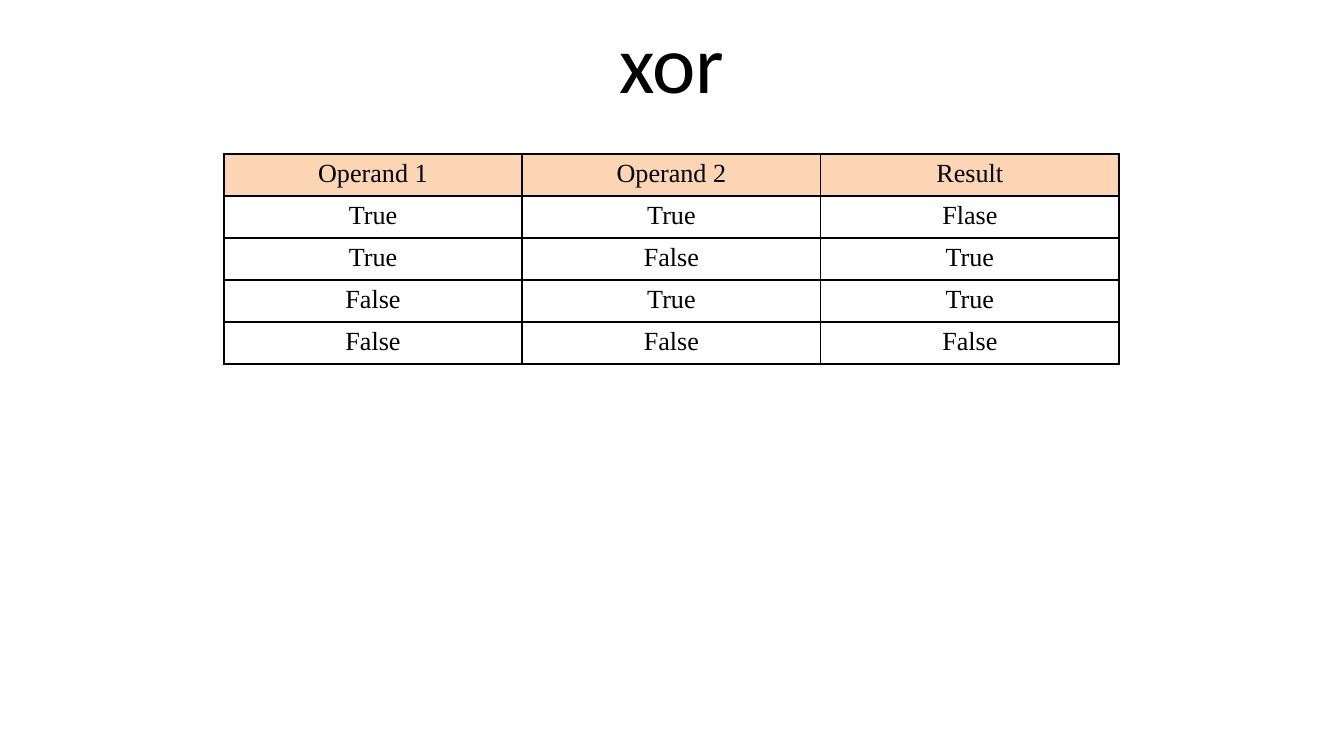
from dataclasses import dataclass

from lxml.etree import SubElement
from pptx import Presentation
from pptx.dml.color import RGBColor as RGB
from pptx.enum.text import MSO_ANCHOR as Anchor, PP_ALIGN as Align
from pptx.oxml.ns import qn
from pptx.util import Cm, Pt


@dataclass(frozen=True)
class Theme:
    ink: str = "000000"
    header: str = "FCD5B5"
    title_font: str = "Calibri"
    table_font: str = "Times New Roman"
    title_size: int = 44
    table_size: int = 14
    border: int = 1


THEME = Theme()

TRUTH_TABLE = [
    ("Operand 1", "Operand 2", "Result"),
    ("True", "True", "Flase"),
    ("True", "False", "True"),
    ("False", "True", "True"),
    ("False", "False", "False"),
]


def set_attrs(obj, values):
    for name, value in values.items():
        setattr(obj, name, value)


def write_text(tf, text, font, size):
    p = tf.paragraphs[0]
    p.alignment = Align.CENTER
    r = p.add_run()
    r.text = text
    set_attrs(r.font, {"name": font, "size": Pt(size), "bold": False})
    r.font.color.rgb = RGB.from_string(THEME.ink)


def add_title(slide, text):
    sp = slide.shapes.add_textbox(Cm(1.27), Cm(-0.05), Cm(22.86), Cm(2.39))
    tf = sp.text_frame
    set_attrs(tf, {"word_wrap": True, "vertical_anchor": Anchor.MIDDLE})
    write_text(tf, text, THEME.title_font, THEME.title_size)


def add_borders(cell):
    tc_pr = cell._tc.get_or_add_tcPr()
    for side in ("lnL", "lnR", "lnT", "lnB"):
        ln = SubElement(tc_pr, qn(f"a:{side}"), w=str(Pt(THEME.border)))
        fill = SubElement(ln, qn("a:solidFill"))
        SubElement(fill, qn("a:srgbClr"), val=THEME.ink)


def format_cell(cell, text, is_header):
    set_attrs(cell, {
        "margin_left": Cm(0.25), "margin_right": Cm(0.25),
        "margin_top": Cm(0.1), "margin_bottom": Cm(0.1),
    })
    add_borders(cell)
    if is_header:
        cell.fill.solid()
        cell.fill.fore_color.rgb = RGB.from_string(THEME.header)
    else:
        cell.fill.background()
    write_text(cell.text_frame, text, THEME.table_font, THEME.table_size)


def add_truth_table(slide, rows):
    col_width, row_height = Cm(5.64), Cm(0.77)
    n_rows, n_cols = len(rows), len(rows[0])
    table = slide.shapes.add_table(
        n_rows, n_cols, Cm(4.23), Cm(2.91),
        col_width * n_cols, row_height * n_rows).table
    set_attrs(table, {"first_row": False, "horz_banding": False})
    for i, row in enumerate(rows):
        for j, text in enumerate(row):
            format_cell(table.cell(i, j), text, is_header=i == 0)


def main():
    prs = Presentation()
    set_attrs(prs, {"slide_width": Cm(25.4), "slide_height": Cm(14.29)})
    slide = prs.slides.add_slide(prs.slide_layouts[6])

    # Heading
    add_title(slide, "xor")

    # Operands and results
    add_truth_table(slide, TRUTH_TABLE)

    prs.save("out.pptx")


if __name__ == "__main__":
    main()
